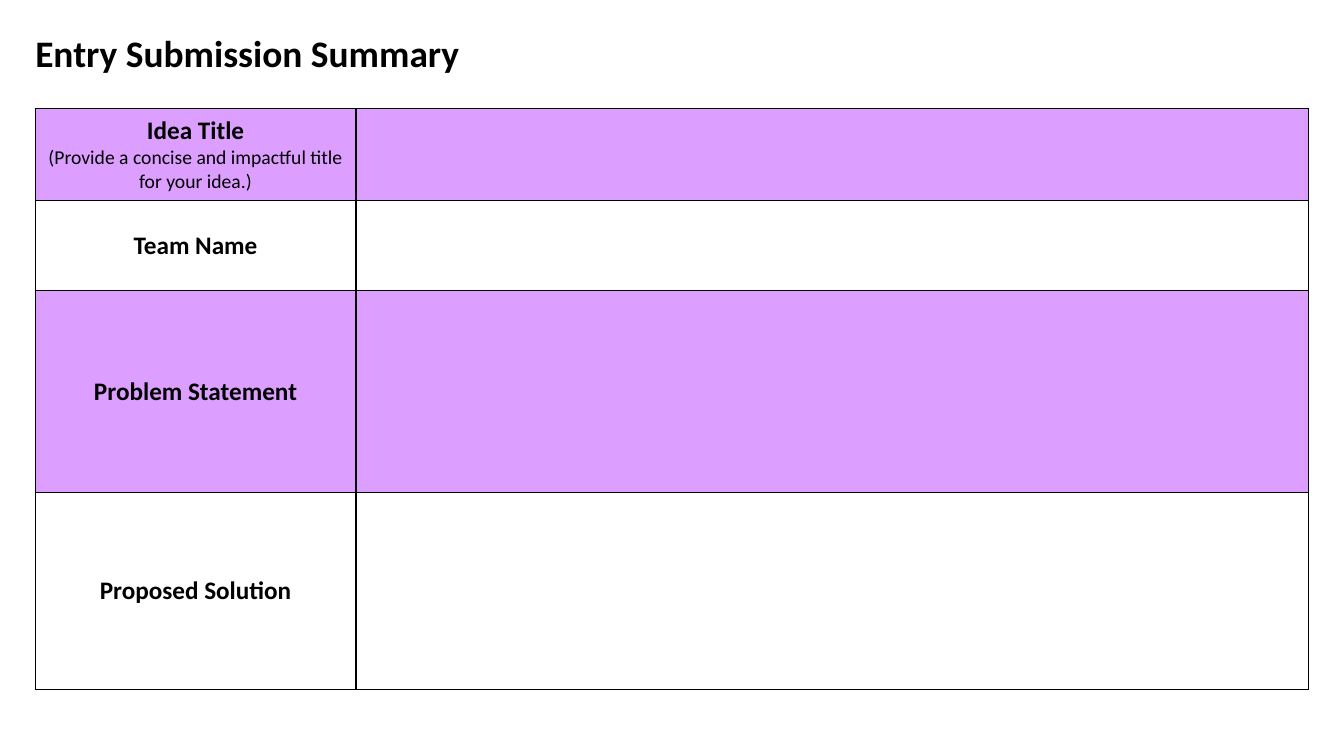
from lxml import etree
from pptx import Presentation
from pptx.dml.color import RGBColor
from pptx.enum.text import MSO_ANCHOR, PP_ALIGN
from pptx.oxml.ns import qn
from pptx.util import Inches, Pt

CENTER = PP_ALIGN.CENTER
TOP, MIDDLE = MSO_ANCHOR.TOP, MSO_ANCHOR.MIDDLE

# Content: label, hint, row height
TITLE = "Entry Submission Summary"
ROWS = [
    ("Idea Title", "(Provide a concise and impactful title for your idea.)", 0.91),
    ("Team Name", "", 0.89),
    ("Problem Statement", "", 2.01),
    ("Proposed Solution", "", 1.95),
]
COLS = [3.18, 9.45]
FILLS = ["DD9FFF", "FFFFFF"]
FONT, BLACK = "Calibri", "000000"
LEFT = 0.35


def color(code):
    return RGBColor.from_string(code)


def add_run(para, text, size, bold):
    run = para.add_run()
    run.text = text
    font = run.font
    font.name, font.size, font.bold = FONT, Pt(size), bold
    font.color.rgb = color(BLACK)


def add_borders(cell):
    props = cell._tc.get_or_add_tcPr()
    for side in ("lnL", "lnR", "lnT", "lnB"):
        line = etree.SubElement(props, qn("a:" + side), w=str(Pt(1)))
        fill = etree.SubElement(line, qn("a:solidFill"))
        etree.SubElement(fill, qn("a:srgbClr"), val=BLACK)


prs = Presentation()
prs.slide_width, prs.slide_height = Inches(13.33), Inches(7.5)
slide = prs.slides.add_slide(prs.slide_layouts[6])

# Title
box = slide.shapes.add_textbox(
    Inches(LEFT), Inches(0.39), Inches(12.29), Inches(0.93))
frame = box.text_frame
frame.word_wrap = True
frame.vertical_anchor = TOP
frame.margin_left = frame.margin_top = frame.margin_bottom = 0
frame.margin_right = Inches(0.13)
para = frame.paragraphs[0]
para.line_spacing = 0.8
add_run(para, TITLE, 26.7, True)

# Entry table
height = sum(row[2] for row in ROWS)
table = slide.shapes.add_table(
    len(ROWS), len(COLS), Inches(LEFT), Inches(1.08),
    Inches(sum(COLS)), Inches(height)).table
for col, width in zip(table.columns, COLS):
    col.width = Inches(width)

for i, (label, hint, tall) in enumerate(ROWS):
    table.rows[i].height = Inches(tall)
    for cell in table.rows[i].cells:
        add_borders(cell)
        cell.fill.solid()
        cell.fill.fore_color.rgb = color(FILLS[i % 2])
    cell = table.cell(i, 0)
    cell.vertical_anchor = MIDDLE
    para = cell.text_frame.paragraphs[0]
    para.alignment = CENTER
    add_run(para, label, 18, True)
    if hint:
        para.add_line_break()
        add_run(para, hint, 14, False)

prs.save("out.pptx")
